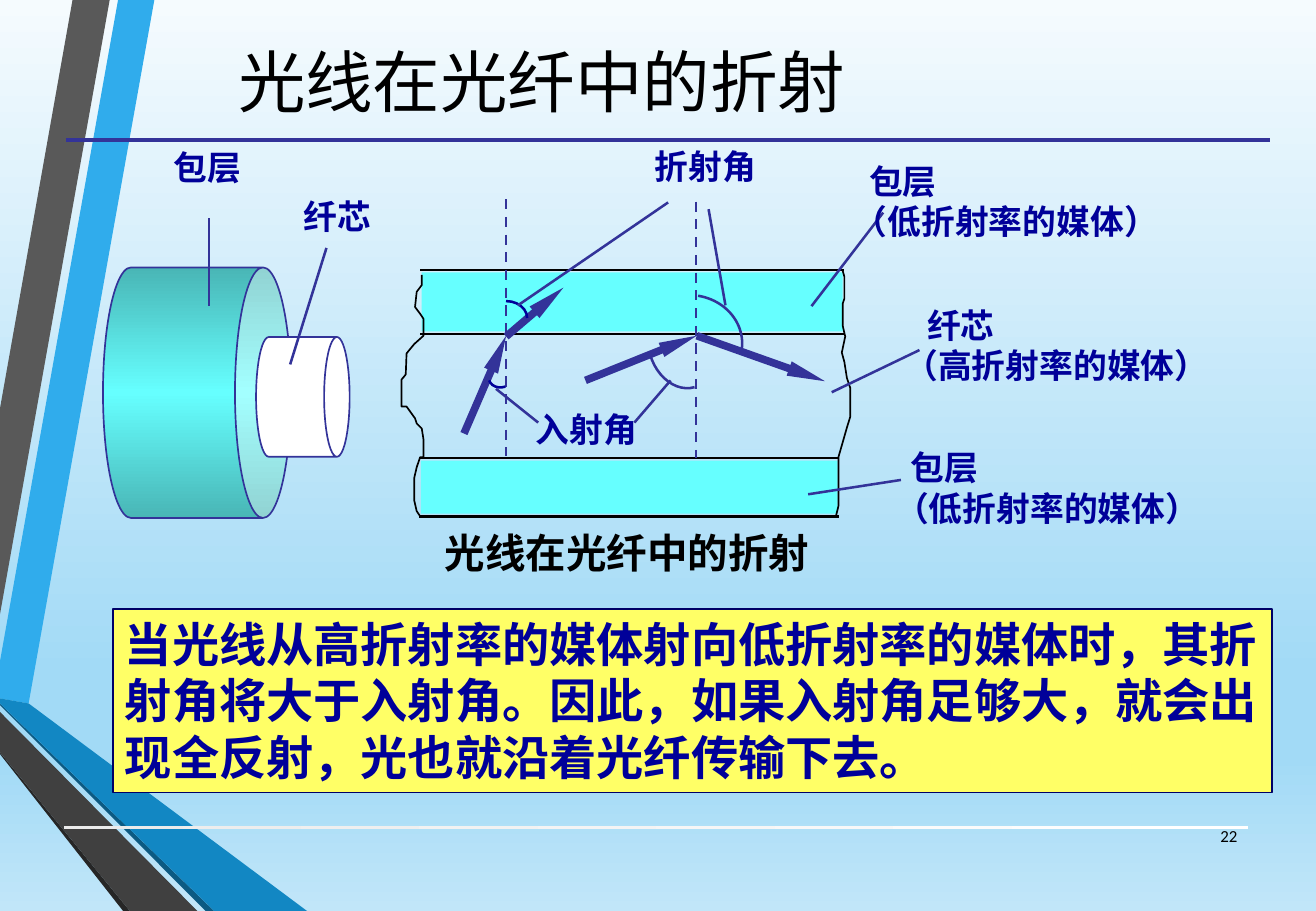
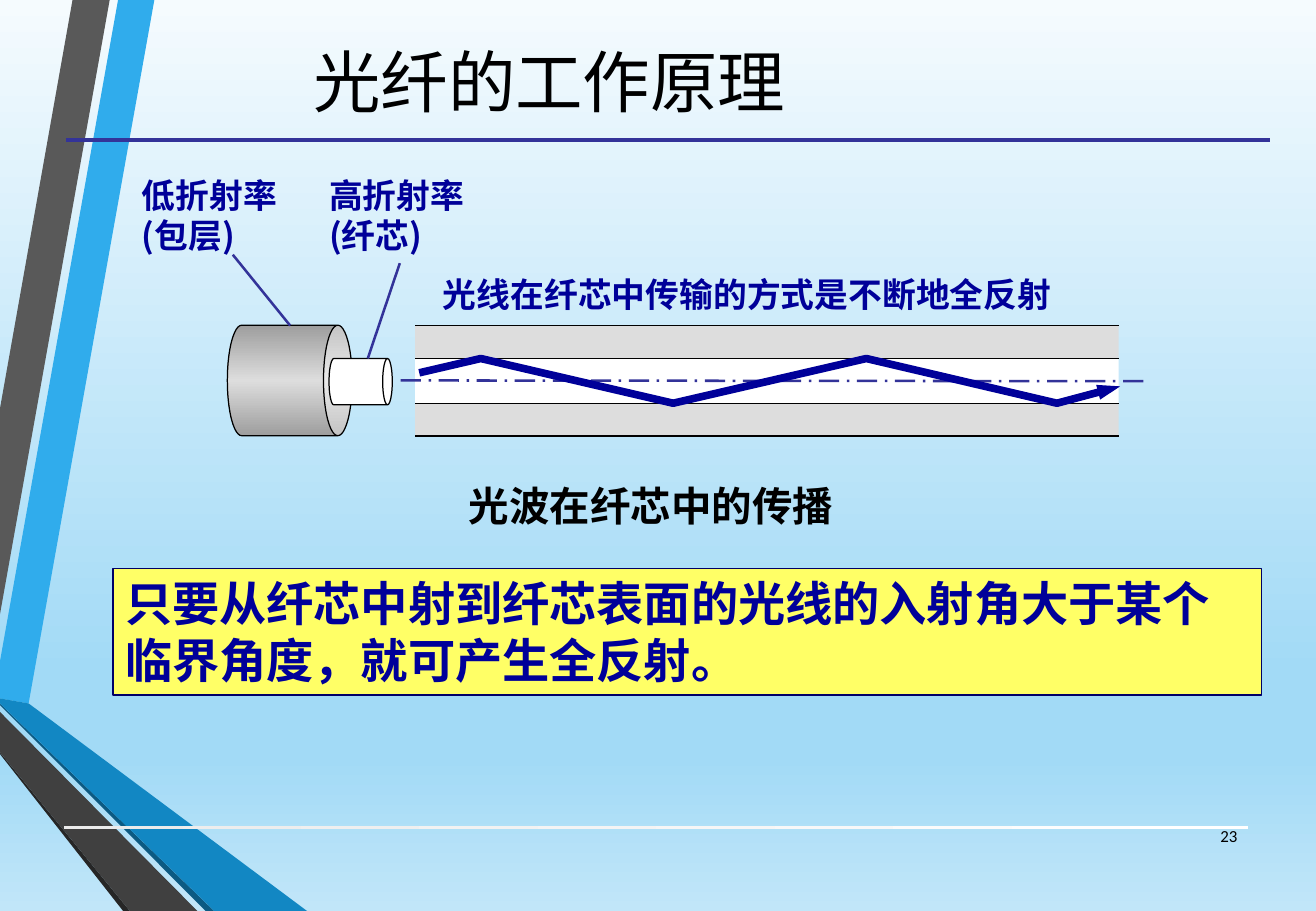
from itertools import pairwise

from lxml.etree import SubElement
from pptx import Presentation
from pptx.dml.color import RGBColor
from pptx.enum.dml import MSO_LINE
from pptx.enum.shapes import MSO_CONNECTOR, MSO_SHAPE
from pptx.enum.text import MSO_ANCHOR, MSO_AUTO_SIZE, PP_ALIGN
from pptx.oxml.ns import qn
from pptx.util import Pt

FONT = "Calibri"
SANS = "Noto Sans CJK SC"
BLACK = RGBColor(0x00, 0x00, 0x00)
WHITE = RGBColor(0xFF, 0xFF, 0xFF)
NAVY = RGBColor(0x00, 0x00, 0x99)
BOX_EDGE = RGBColor(0x00, 0x00, 0x66)
INDIGO = RGBColor(0x33, 0x33, 0x99)
CYAN = RGBColor(0x66, 0xFF, 0xFF)
TEAL = RGBColor(0x49, 0xB6, 0xB6)
SILVER = RGBColor(0xDD, 0xDD, 0xDD)
GREY = RGBColor(0x9E, 0x9E, 0x9E)
YELLOW = RGBColor(0xFF, 0xFF, 0x66)
BAR = RGBColor(0xEB, 0xEB, 0xEB)
SKY = [(0, RGBColor(0xF5, 0xFB, 0xFE)), (74, RGBColor(0xA2, 0xDA, 0xF6)),
       (83, RGBColor(0xA2, 0xDA, 0xF6)), (100, RGBColor(0xC1, 0xE6, 0xF9))]
BANDS = [
    (RGBColor(0x30, 0xAC, 0xEC), [(0, 392), (0, 414), (17, 417), (91.5, 0), (70, 0)]),
    (RGBColor(0x59, 0x59, 0x59), [(65, 0), (43, 0), (0, 242), (0, 364)]),
    (RGBColor(0x26, 0x26, 0x26), [(0, 446), (0, 447), (73, 540), (77, 540)]),
    (RGBColor(0x0C, 0x5A, 0x82), [(0, 417), (0, 418), (122, 540), (127, 540)]),
    (RGBColor(0x12, 0x87, 0xC3),
     [(0, 417), (127, 540), (182, 540), (17, 417), (0, 414)]),
    (RGBColor(0x40, 0x40, 0x40), [(0, 446), (77, 540), (117, 540), (0, 422)]),
]
TORN_LEFT = [
    (250, 163), (250, 169), (247, 173), (246, 182), (249, 186), (251, 189),
    (251, 199), (245.5, 204), (241, 209.5), (240.5, 222), (238, 225), (238, 241),
    (241, 241), (246, 248), (247, 251), (250, 254), (251, 260.5), (251, 271),
    (249, 271), (247, 277), (245.5, 283.5), (245.5, 296.5), (247, 303), (249, 306)]
TORN_RIGHT = [
    (499.5, 160.5), (500.5, 164), (500.5, 177), (499.5, 180), (499.5, 193),
    (501, 199.5), (499, 209), (500.5, 214.5), (502, 224), (504, 230), (504, 247),
    (502, 253.5), (499, 264), (497, 271), (497, 300), (495.5, 306)]


def set_gradient(fill, element, stops, angle=0):
    """Give fill, which lies inside element, stops of (percent, colour)."""
    fill.gradient()
    fill.gradient_angle = angle
    gs_list = next(element.iter(qn("a:gsLst")))
    for gs in list(gs_list):
        gs_list.remove(gs)
    for percent, color in stops:
        gs = SubElement(gs_list, qn("a:gs"), pos=str(percent * 1000))
        SubElement(gs, qn("a:srgbClr"), val=str(color))


def style(sp, fill=None, line=None, width=0.75):
    """Fill is a colour, a list of gradient stops or None."""
    sp.shadow.inherit = False
    if isinstance(fill, list):
        set_gradient(sp.fill, sp.element, fill)
    elif fill is None:
        sp.fill.background()
    else:
        sp.fill.solid()
        sp.fill.fore_color.rgb = fill
    if line is None:
        sp.line.fill.background()
    else:
        sp.line.color.rgb = line
        sp.line.width = Pt(width)
    return sp


def add_preset(s, kind, box, fill=None, line=None, width=0.75):
    sp = s.shapes.add_shape(kind, *[Pt(v) for v in box])
    return style(sp, fill, line, width)


def add_can(s, box, rim, fill, line, width):
    """A can lying on its side; box is its upright frame."""
    sp = add_preset(s, MSO_SHAPE.CAN, box, fill, line, width)
    sp.adjustments[0] = rim
    sp.rotation = 90


def add_arc(s, center, rx, ry, rotation, color=INDIGO):
    x, y = center
    sp = add_preset(s, MSO_SHAPE.ARC, (x - rx, y - ry, 2 * rx, 2 * ry),
                    None, color, 1.5)
    sp.rotation = rotation


def add_path(s, points, closed=False, fill=None, line=None, width=1):
    (x, y), *rest = [(Pt(x), Pt(y)) for x, y in points]
    builder = s.shapes.build_freeform(x, y)
    builder.add_line_segments(rest, close=closed)
    return style(builder.convert_to_shape(), fill, line, width)


def add_arrowhead(sp, length):
    ln = sp.element.spPr.find(qn("a:ln"))
    SubElement(ln, qn("a:tailEnd"), type="triangle", w="sm", len=length)


def add_line(s, start, end, color=INDIGO, width=1.5, dash=None):
    sp = s.shapes.add_connector(
        MSO_CONNECTOR.STRAIGHT, *[Pt(v) for v in (*start, *end)])
    sp.line.color.rgb = color
    sp.line.width = Pt(width)
    if dash:
        sp.line.dash_style = dash
    SubElement(sp.element.spPr, qn("a:effectLst"))
    return sp


def add_ray(s, start, end):
    add_arrowhead(add_line(s, start, end, width=4.5), "lg")


def write(tf, lines, size, color, bold=True, align=PP_ALIGN.LEFT,
          anchor=MSO_ANCHOR.TOP, font=FONT, indent=0):
    """One paragraph a line; indent moves the first one to the right."""
    tf.word_wrap = True
    tf.auto_size = MSO_AUTO_SIZE.NONE
    tf.vertical_anchor = anchor
    for i, line in enumerate(lines):
        p = tf.paragraphs[0] if i == 0 else tf.add_paragraph()
        p.alignment = align
        if i == 0 and indent:
            p._p.get_or_add_pPr().set("marL", str(Pt(indent)))
        r = p.add_run()
        r.text = line
        r.font.size = Pt(size)
        r.font.bold = bold
        r.font.color.rgb = color
        r.font.name = font
        SubElement(r._r.get_or_add_rPr(), qn("a:ea"), typeface=FONT)


def add_text(s, box, lines, size=20, color=NAVY, **options):
    sp = s.shapes.add_textbox(*[Pt(v) for v in box])
    write(sp.text_frame, lines, size, color, **options)


def add_caption(s, box, text):
    add_text(s, box, [text], 24, BLACK, align=PP_ALIGN.CENTER)


def add_conclusion(s, box, text):
    sp = add_preset(s, MSO_SHAPE.RECTANGLE, box, YELLOW, BOX_EDGE)
    write(sp.text_frame, [text], 28, NAVY)


def decorate_layout(layout, s):
    """Draw the shared background parts on s and move them to its layout."""
    set_gradient(layout.background.fill, layout.element, SKY, 270)
    parts = [add_path(s, points, True, color) for color, points in BANDS]
    parts.append(add_preset(s, MSO_SHAPE.RECTANGLE, (38, 489.5, 702, 2.2),
                            [(0, BAR), (100, WHITE)]))
    parts.append(add_line(s, (39, 83), (753, 83), width=2.25))
    for i, sp in enumerate(parts):
        next(sp.element.iter(qn("p:cNvPr"))).set("id", str(100 + i))
        layout.shapes.element.insert(2 + i, sp.element)
    title = layout.placeholders[0]
    title.left, title.top, title.width, title.height = map(Pt, (31, 3.5, 589, 89))


def add_title(s, text):
    write(s.shapes.title.text_frame, [text], 40, BLACK, False,
          PP_ALIGN.CENTER, MSO_ANCHOR.MIDDLE)


def add_page_number(s, number):
    add_text(s, (704, 481, 36.5, 29), [str(number)], 10, BLACK, bold=False,
             align=PP_ALIGN.RIGHT, anchor=MSO_ANCHOR.MIDDLE)


def draw_refraction(s):
    for left, right, top, bottom in [(249, 500.5, 160, 198), (248.5, 497.5, 271.5, 306)]:
        add_preset(s, MSO_SHAPE.RECTANGLE,
                   (left + 1, top + 1.5, right - left - 2, bottom - top - 3), CYAN)
        for y in (top, bottom):
            add_line(s, (left, y), (right, y), BLACK)
    for edge in (TORN_LEFT, TORN_RIGHT):
        add_path(s, edge, line=BLACK)

    for x, top in [(300, 118), (412.5, 119.5)]:
        add_line(s, (x, top), (x, top + 152), dash=MSO_LINE.DASH)
    for start, end in [((300, 199.5), (334, 170.5)), ((275, 257), (300, 199)),
                       ((347, 225.5), (413, 199)), ((413, 199), (489, 226))]:
        add_ray(s, start, end)
    add_arc(s, (297.5, 223), 8, 6.5, 162, NAVY)
    add_arc(s, (300, 188.5), 12.5, 10, 0, NAVY)
    add_arc(s, (404.5, 204.5), 20, 26, 164)
    add_arc(s, (409.5, 202.5), 30.5, 27.5, 9)

    add_can(s, (42.5, 177, 148.5, 111.5), 0.298,
            [(0, TEAL), (50, CYAN), (100, TEAL)], INDIGO, 1)
    add_can(s, (144, 207.5, 71, 55.5), 0.273, WHITE, INDIGO, 1)

    for start, end in [
            ((420, 124), (430, 181)), ((307, 181), (396, 120)),
            ((294, 230.5), (319, 250.5)), ((376, 250.5), (397.5, 225.5)),
            ((493, 232.5), (545, 207.5)), ((523.5, 126), (481, 181.5)),
            ((534, 284.5), (479, 293)), ((124, 129.5), (124, 181.5)),
            ((193.5, 147), (172, 216))]:
        add_line(s, start, end)

    for box, text in [((381, 83, 76, 31), "折射角"), ((310.5, 239, 94, 31), "入射角"),
                      ((96, 83.5, 56, 31.5), "包层"), ((173, 112.5, 60, 31.5), "纤芯")]:
        add_text(s, box, [text])
    low, high = "（低折射率的媒体）", "（高折射率的媒体）"
    for left, top, name, medium, indent in [
            (499, 91.5, "包层", low, 9), (523.5, 261.5, "包层", low, 9),
            (529, 177, "纤芯", high, 13.5)]:
        add_text(s, (left, top, 200, 55.5), [name, medium], indent=indent)


def draw_total_reflection(s):
    left, right = 246, 663
    edges = [193, 212.5, 239, 258.5]
    for (top, bottom), color in zip(pairwise(edges), (SILVER, WHITE, SILVER)):
        add_preset(s, MSO_SHAPE.RECTANGLE,
                   (left, top, right - left, bottom - top), color)
    for y in edges:
        add_line(s, (left, y), (right, y), BLACK, 0.75)
    add_can(s, (139, 188.5, 65.5, 74), 0.26,
            [(0, GREY), (50, SILVER), (100, GREY)], BLACK, 0.75)
    add_can(s, (200, 207.5, 27.5, 37.5), 0.207, WHITE, BLACK, 0.75)
    add_line(s, (237.5, 225.5), (679, 226), dash=MSO_LINE.LONG_DASH_DOT)

    for box, lines in [((188, 100, 97, 55.5), ["高折射率", "(纤芯)"]),
                       ((77, 100, 97, 55.5), ["低折射率", "(包层)"]),
                       ((255.5, 158.5, 380, 31.5),
                        ["光线在纤芯中传输的方式是不断地全反射"])]:
        add_text(s, box, lines, font=SANS)
    add_line(s, (237, 156), (218, 212.5))
    add_line(s, (138, 151), (172, 193))

    light = add_path(s, [(248.5, 221), (285, 212.5), (399, 239), (513.5, 212.5),
                         (626.5, 239), (664, 229)], line=NAVY, width=4.5)
    add_arrowhead(light, "med")


def main():
    prs = Presentation()
    prs.slide_width, prs.slide_height = Pt(780), Pt(540)
    layout = prs.slide_layouts[5]

    s = prs.slides.add_slide(layout)
    decorate_layout(layout, s)
    add_title(s, "光线在光纤中的折射 ")
    draw_refraction(s)
    add_caption(s, (180, 309.5, 383, 36), "光线在光纤中的折射")
    add_conclusion(s, (67, 361, 687, 109),
                   "当光线从高折射率的媒体射向低折射率的媒体时，其折射角将大于入射角。"
                   "因此，如果入射角足够大，就会出现全反射，光也就沿着光纤传输下去。")
    add_page_number(s, 22)

    s = prs.slides.add_slide(layout)
    add_title(s, "光纤的工作原理")
    draw_total_reflection(s)
    add_caption(s, (169, 281.5, 433.5, 36), "光波在纤芯中的传播")
    add_conclusion(s, (67, 337, 680.5, 75),
                   "只要从纤芯中射到纤芯表面的光线的入射角大于某个"
                   "临界角度，就可产生全反射。")
    add_page_number(s, 23)

    prs.save("out.pptx")


if __name__ == "__main__":
    main()
